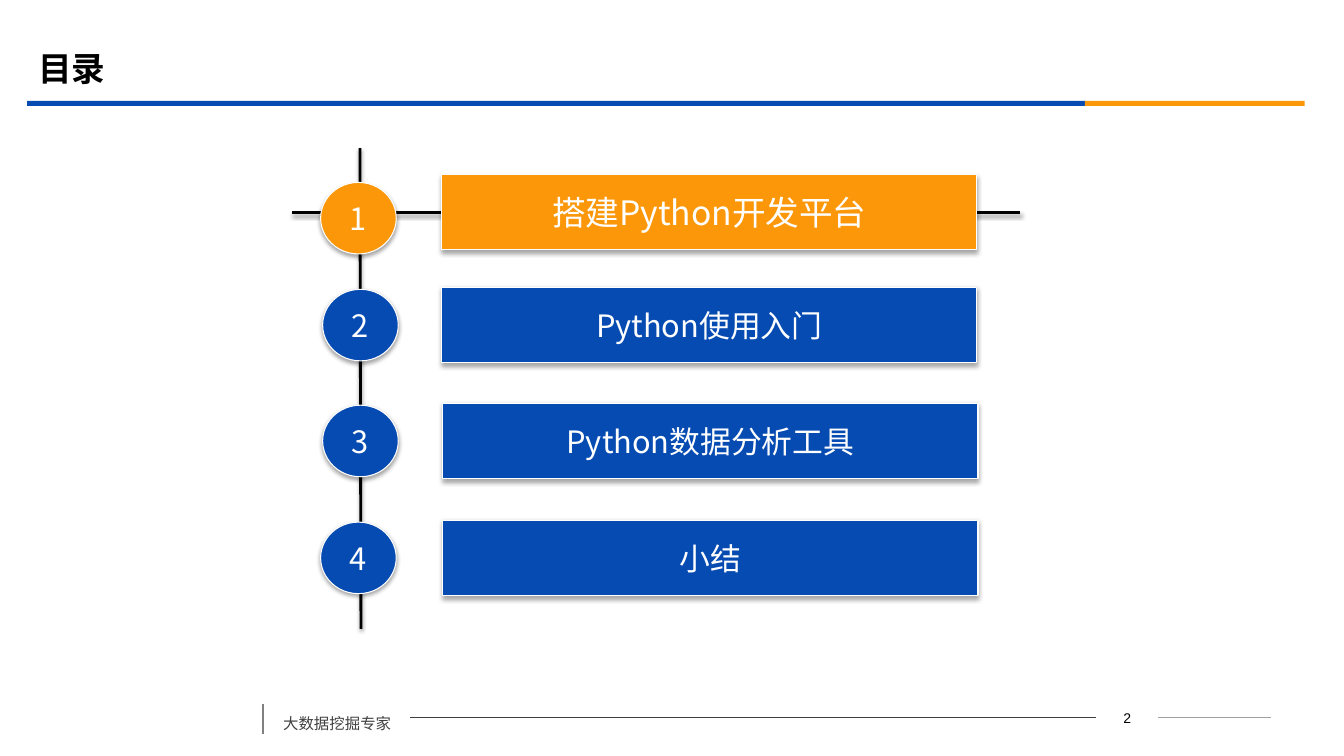
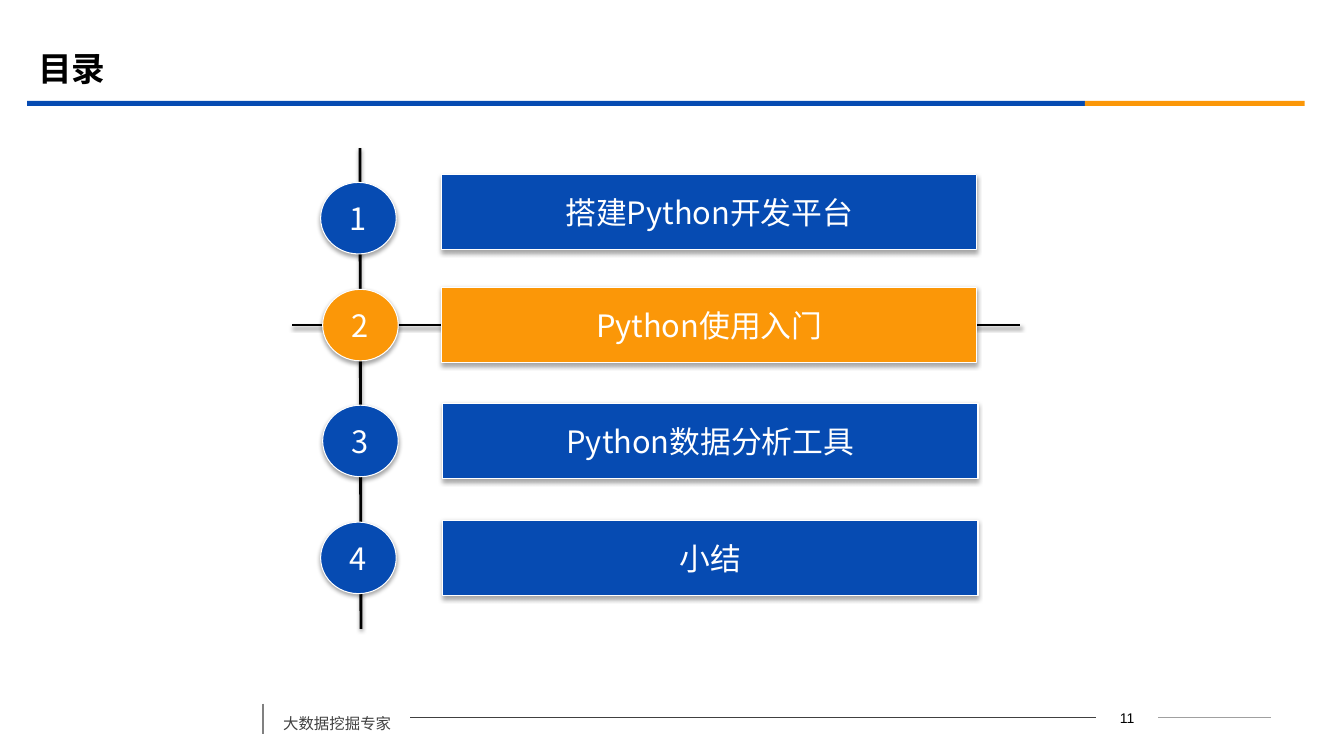
"""Build two agenda slides, each highlighting its current chapter."""
from lxml.etree import SubElement
from pptx import Presentation
from pptx.dml.color import RGBColor
from pptx.enum.shapes import MSO_CONNECTOR, MSO_SHAPE
from pptx.enum.text import MSO_ANCHOR, PP_ALIGN
from pptx.oxml.ns import qn
from pptx.util import Inches, Pt

BLUE = RGBColor(0x06, 0x4B, 0xB2)
ORANGE = RGBColor(0xFB, 0x97, 0x08)
WHITE = RGBColor(0xFF, 0xFF, 0xFF)
BLACK = RGBColor(0, 0, 0)
DARK_GRAY = RGBColor(0x40, 0x40, 0x40)
GRAY = RGBColor(0x80, 0x80, 0x80)
LIGHT_GRAY = RGBColor(0xA0, 0xA0, 0xA0)
CHINESE_FONT = "Noto Sans CJK SC"

TITLE = "目录"
FOOTER = "大数据挖掘专家"
CHAPTERS = [
    {"text": "搭建Python开发平台", "box": (4.38, 1.73), "circle": (3.18, 1.81)},
    {"text": "Python使用入门", "box": (4.38, 2.85), "circle": (3.2, 2.87)},
    {"text": "Python数据分析工具", "box": (4.39, 4), "circle": (3.2, 4.02)},
    {"text": "小结", "box": (4.39, 5.16), "circle": (3.18, 5.18)},
]
AGENDAS = [
    {"page": "2", "current": 0, "current_size": 24},
    {"page": "11", "current": 1, "current_size": 22},
]
BOX_SIZE = (5.31, 0.75)
CIRCLE_SIZE = (0.75, 0.71)
CHAPTER_SIZE = 22
BANDS = [((0.27, 1, 10.49, 0.05), BLUE), ((10.76, 1, 2.18, 0.05), ORANGE)]
FOOTER_LINES = [
    ((11.49, 7.12, 12.61, 7.12), LIGHT_GRAY, 0.75),
    ((4.07, 7.12, 10.87, 7.12), DARK_GRAY, 0.75),
    ((2.61, 6.98, 2.61, 7.28), GRAY, 1.25),
]


def inches(values):
    return [Inches(value) for value in values]


def set_effect(shape, opacity=0, distance=0):
    """Give a shape a soft shadow below it, or none at zero opacity."""
    properties = shape.element.spPr
    for old in properties.findall(qn("a:effectLst")):
        properties.remove(old)
    effects = SubElement(properties, qn("a:effectLst"))
    if opacity:
        shadow = SubElement(effects, qn("a:outerShdw"), blurRad=str(Pt(3.1)),
                            dist=str(Pt(distance)), dir="5400000", rotWithShape="0")
        color = SubElement(shadow, qn("a:srgbClr"), val=str(BLACK))
        SubElement(color, qn("a:alpha"), val=str(opacity * 1000))


def write(shape, text, size, color, align=PP_ALIGN.LEFT, name=CHINESE_FONT, bold=False):
    """Write one formatted paragraph and return it."""
    paragraph = shape.text_frame.paragraphs[0]
    paragraph.alignment = align
    run = paragraph.add_run()
    run.text = text
    for key, value in {"size": Pt(size), "bold": bold, "name": name}.items():
        setattr(run.font, key, value)
    run.font.color.rgb = color
    SubElement(run.font._element, qn("a:ea"), typeface=name)
    return paragraph


def add_line(slide, ends, color, width, opacity=0):
    line = slide.shapes.add_connector(MSO_CONNECTOR.STRAIGHT, *inches(ends))
    line.line.color.rgb = color
    line.line.width = Pt(width)
    set_effect(line, opacity, 1.6)
    return line


def add_band(slide, area, color):
    band = slide.shapes.add_shape(MSO_SHAPE.RECTANGLE, *inches(area))
    band.fill.solid()
    band.fill.fore_color.rgb = color
    band.line.fill.background()
    band.shadow.inherit = False
    return band


def add_footer(slide):
    footer = slide.shapes.add_textbox(*inches((2.71, 6.94, 1.36, 0.38)))
    footer.text_frame.word_wrap = True
    paragraph = write(footer, FOOTER, 11, DARK_GRAY)
    paragraph.line_spacing = 1.5
    paragraph.space_before = Pt(6)
    return footer


def share_frame(slide, layout):
    """Draw the bands and the footer, then hand them to the layout."""
    frame = [add_band(slide, *band) for band in BANDS]
    frame += [add_line(slide, *line) for line in FOOTER_LINES]
    frame.append(add_footer(slide))
    for shape in frame:
        layout.shapes.element.append(shape.element)


def add_marker(slide, kind, corner, extent, text, size, fill):
    marker = slide.shapes.add_shape(kind, *inches(corner + extent))
    marker.fill.solid()
    marker.fill.fore_color.rgb = fill
    marker.line.color.rgb = WHITE
    marker.line.width = Pt(0.75)
    set_effect(marker, 35, 1.8)
    marker.text_frame.word_wrap = False
    marker.text_frame.vertical_anchor = MSO_ANCHOR.MIDDLE
    write(marker, text, size, WHITE, PP_ALIGN.CENTER)


def fill_agenda(slide, page, current, current_size):
    title = slide.shapes.title
    title.text_frame.vertical_anchor = MSO_ANCHOR.MIDDLE
    write(title, TITLE, 24, BLACK, bold=True)

    number = slide.shapes.add_textbox(*inches((10.87, 6.99, 0.62, 0.25)))
    number.text_frame.word_wrap = True
    write(number, page, 10, BLACK, PP_ALIGN.CENTER, "Arial")

    middle = CHAPTERS[current]["box"][1] + BOX_SIZE[1] / 2
    add_line(slide, (3.57, 1.47, 3.58, 6.24), BLACK, 2, 38)
    add_line(slide, (2.9, middle, 10.12, middle), BLACK, 2, 38)
    for index, chapter in enumerate(CHAPTERS):
        active = index == current
        fill = ORANGE if active else BLUE
        size = current_size if active else CHAPTER_SIZE
        add_marker(slide, MSO_SHAPE.ACTION_BUTTON_CUSTOM, chapter["box"], BOX_SIZE,
                   chapter["text"], size, fill)
        add_marker(slide, MSO_SHAPE.OVAL, chapter["circle"], CIRCLE_SIZE,
                   str(index + 1), CHAPTER_SIZE, fill)


def main():
    presentation = Presentation()
    presentation.slide_width, presentation.slide_height = inches((13.33, 7.5))
    layout = presentation.slide_layouts.get_by_name("Title Only")
    area = zip(("left", "top", "width", "height"), inches((0.28, 0.39, 12, 0.58)))
    for key, value in area:
        setattr(layout.placeholders[0], key, value)
    slides = [presentation.slides.add_slide(layout) for _ in AGENDAS]
    share_frame(slides[0], layout)
    for slide, agenda in zip(slides, AGENDAS):
        fill_agenda(slide, **agenda)
    presentation.save("out.pptx")


if __name__ == "__main__":
    main()
